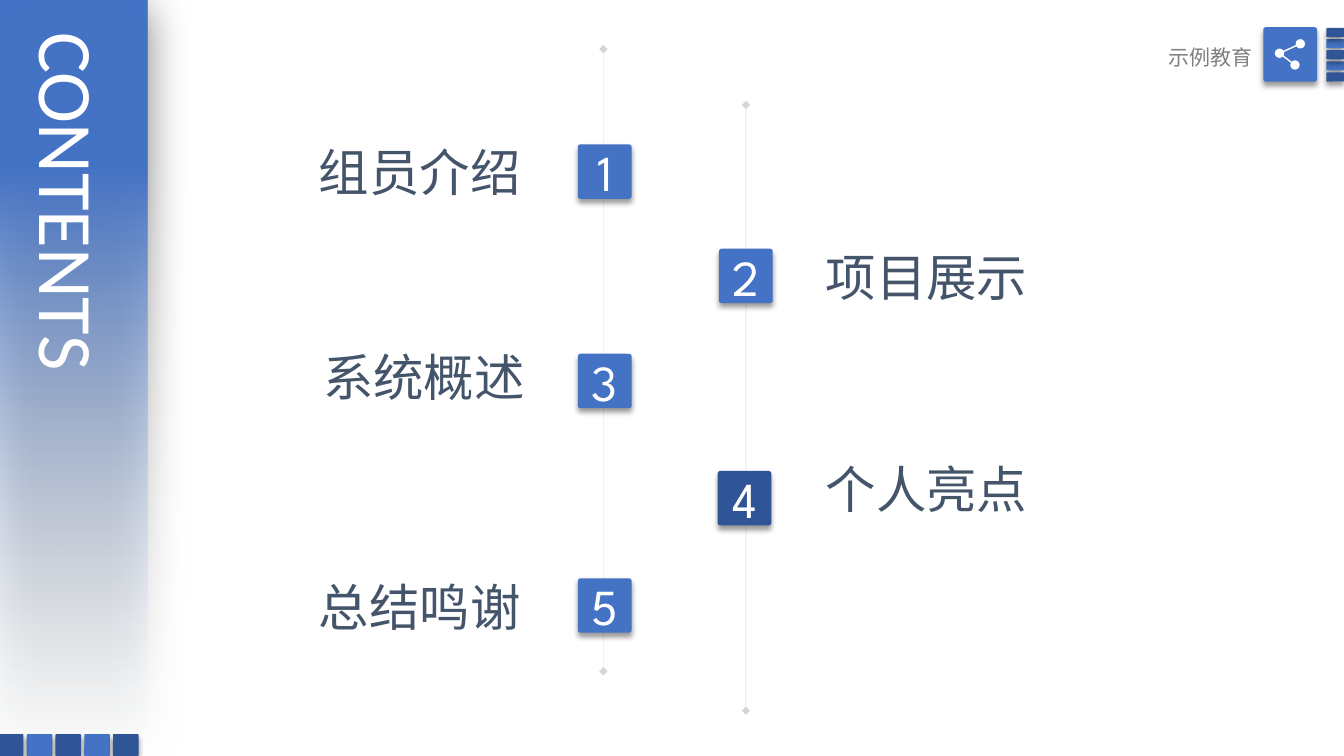
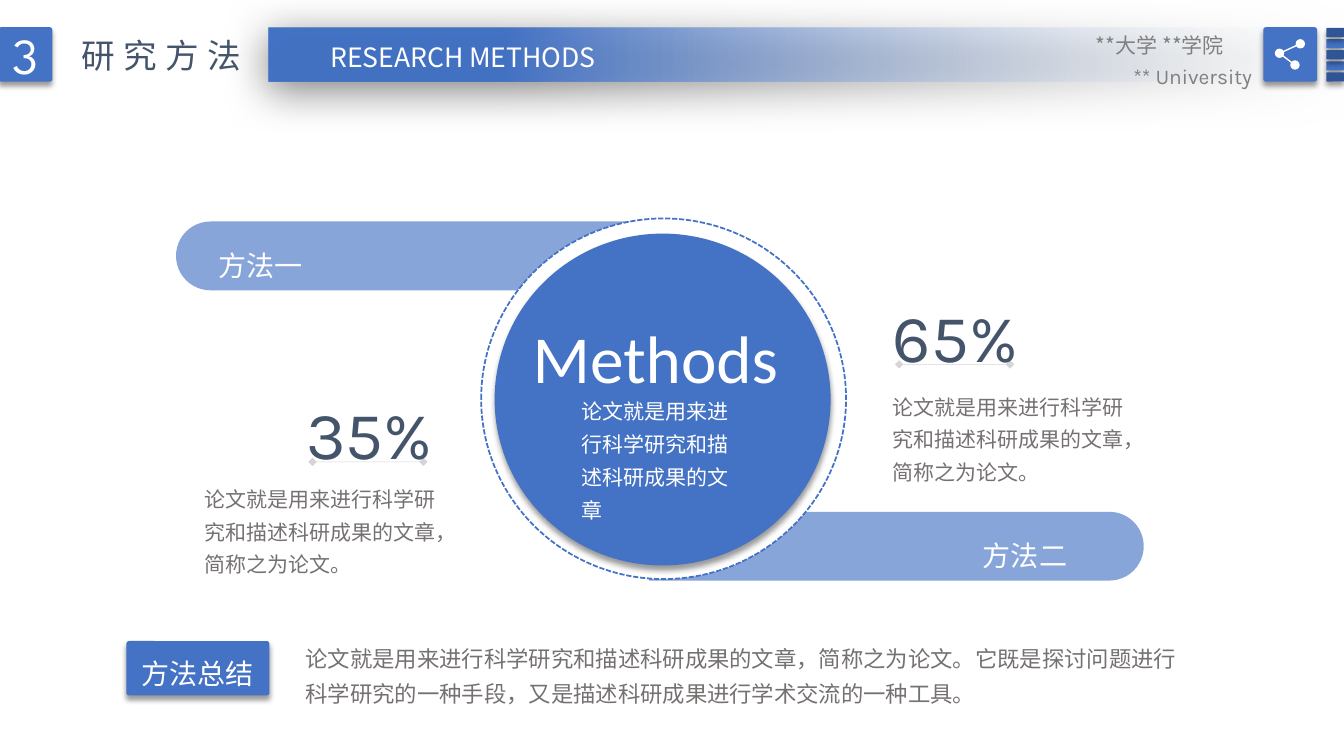
from dataclasses import dataclass, replace

from lxml import etree
from pptx import Presentation
from pptx import util as u
from pptx.dml.color import RGBColor
from pptx.enum import dml, shapes, text
from pptx.oxml import ns

# Shared look
WIDTH, HEIGHT = 13.33, 7.5
BLUE, NAVY, PALE, WHITE = "4472C4", "2F5597", "F7FAFD", "FFFFFF"
SLATE, GRAY, BODY, BLACK = "44546A", "808080", "767171", "000000"
CJK = "Noto Sans CJK SC"
LEFT, CENTER, RIGHT = text.PP_ALIGN.LEFT, text.PP_ALIGN.CENTER, text.PP_ALIGN.RIGHT
SHAPE = shapes.MSO_SHAPE
TILE_W, TILE_H = 4, 7.2
HEADER_TOP = 3.6


@dataclass(frozen=True)
class Box:
    """Left, top, width and height in percent of the slide's size."""
    left: float
    top: float
    width: float
    height: float

    def lengths(self) -> tuple:
        return (across(self.left), down(self.top),
                across(self.width), down(self.height))


@dataclass(frozen=True)
class Style:
    size: float
    color: str = WHITE
    font: str = CJK
    align: int = LEFT
    spacing: float = 1.0
    wrap: bool = True
    tracking: int = 0


@dataclass(frozen=True)
class Shadow:
    alpha: int
    blur: float
    distance: float
    angle: int


@dataclass(frozen=True)
class Entry:
    label: str
    badge_left: float
    badge_top: float
    label_left: float
    label_top: float
    color: str = BLUE


@dataclass(frozen=True)
class HeaderLine:
    words: str
    top: float
    font: str = CJK
    indent: float = 0


@dataclass(frozen=True)
class Method:
    name: str
    pill: Box
    turn: int
    name_left: float
    name_top: float
    share: str
    share_left: float
    share_top: float
    rule_left: float
    note: str
    note_left: float
    note_top: float


TILE_SHADOW = Shadow(40, 4, 3, 90)
BAND_SHADOW = Shadow(50, 31, 6, 97)
NUMBER = Style(36, font="League Spartan", align=CENTER)
ENTRY = Style(36, SLATE, wrap=False)
SUBHEAD = Style(20, spacing=1.3)
NOTE = Style(15, BODY, spacing=1.3)
FIGURE = Style(48, SLATE, "Karla", spacing=1.3, wrap=False)

ENTRIES = [
    Entry("组员介绍", 43, 19.1, 23, 18),
    Entry("项目展示", 53.5, 32.9, 60.7, 31.9),
    Entry("系统概述", 43, 46.8, 23.3, 45.1),
    Entry("个人亮点", 53.4, 62.3, 60.7, 60, NAVY),
    Entry("总结鸣谢", 43, 76.5, 23, 75.5),
]
THESIS = "论文就是用来进行科学研究和描述科研成果的文章"
METHODS = [
    Method("方法一", Box(13.1, 29.3, 36.8, 9.1), 270, 15.5, 30.9,
           "35%", 22.05, 48.1, 23.25, THESIS + "，简称之为论文。", 14.5, 62.7),
    Method("方法二", Box(48.3, 67.7, 36.8, 9.1), 90, 72.4, 69.3,
           "65%", 65.7, 35.2, 66.9, THESIS + "，简称之为论文。", 65.7, 50.5),
]


# Helpers
def across(percent: float) -> int:
    return u.Inches(WIDTH * percent / 100)


def down(percent: float) -> int:
    return u.Inches(HEIGHT * percent / 100)


def rgb(color: str) -> RGBColor:
    return RGBColor.from_string(color)


def apply(target, values: dict) -> None:
    for name, value in values.items():
        setattr(target, name, value)


def add_xml(parent, tag: str, **attributes):
    element = etree.SubElement(parent, ns.qn(tag))
    for name, value in attributes.items():
        element.set(name, str(value))
    return element


def set_alpha(properties, percent: float, index: int = 0) -> None:
    color = list(properties.iter(ns.qn("a:srgbClr")))[index]
    add_xml(color, "a:alpha", val=int(percent * 1000))


def write(shape, words: str, style: Style) -> None:
    frame = shape.text_frame
    frame.word_wrap = style.wrap
    paragraph = frame.paragraphs[0]
    apply(paragraph, {"alignment": style.align, "line_spacing": style.spacing})
    run = paragraph.add_run()
    run.text = words
    apply(run.font, {"size": u.Pt(style.size), "name": style.font})
    run.font.color.rgb = rgb(style.color)
    properties = run.font._element
    add_xml(properties, "a:ea", typeface=CJK)
    if style.tracking:
        properties.set("spc", str(style.tracking * 100))


def add_text(slide, box: Box, words: str, style: Style) -> None:
    shape = slide.shapes.add_textbox(*box.lengths())
    write(shape, words, style)
    shape.text_frame.auto_size = text.MSO_AUTO_SIZE.SHAPE_TO_FIT_TEXT


def place_title(slide, box: Box, words: str, style: Style, vertical: bool = False) -> None:
    title = slide.shapes.title
    apply(title, dict(zip(("left", "top", "width", "height"), box.lengths())))
    write(title, words, style)
    apply(title.text_frame, {"vertical_anchor": text.MSO_ANCHOR.TOP,
                             "auto_size": text.MSO_AUTO_SIZE.SHAPE_TO_FIT_TEXT})
    if vertical:
        title.text_frame._txBody.bodyPr.set("vert", "eaVert")
    # Bring the title in front of the band
    slide.shapes._spTree.append(title._element)


def add_shape(slide, kind: int, box: Box, color: str, shadow: Shadow | None = None):
    shape = slide.shapes.add_shape(kind, *box.lengths())
    shape.fill.solid()
    shape.fill.fore_color.rgb = rgb(color)
    shape.line.fill.background()
    shape.shadow.inherit = False
    if shadow:
        effects = shape._element.spPr.find(ns.qn("a:effectLst"))
        outer = add_xml(effects, "a:outerShdw", blurRad=u.Pt(shadow.blur),
                        dist=u.Pt(shadow.distance), dir=shadow.angle * 60000,
                        algn="t", rotWithShape=0)
        add_xml(outer, "a:srgbClr", val=BLACK)
        set_alpha(outer, shadow.alpha)
    return shape


def add_tile(slide, box: Box, color: str = BLUE, words: str = "", style: Style = NUMBER) -> None:
    tile = add_shape(slide, SHAPE.ROUNDED_RECTANGLE, box, color, TILE_SHADOW)
    tile.adjustments[0] = 0.05
    if words:
        write(tile, words, style)
        tile.text_frame.vertical_anchor = text.MSO_ANCHOR.MIDDLE


def add_band(slide, box: Box, angle: int) -> None:
    band = add_shape(slide, SHAPE.RECTANGLE, box, BLUE, BAND_SHADOW)
    band.fill.gradient()
    band.fill.gradient_angle = angle
    for stop, position, color in zip(band.fill.gradient_stops, (0, 0.78), (PALE, BLUE)):
        stop.position = position
        stop.color.rgb = rgb(color)
    set_alpha(band._element.spPr, 0)


def add_line(slide, start: tuple, end: tuple, color: str, weight: float):
    line = slide.shapes.add_connector(
        shapes.MSO_CONNECTOR.STRAIGHT, across(start[0]), down(start[1]),
        across(end[0]), down(end[1]))
    line.line.color.rgb = rgb(color)
    line.line.width = u.Pt(weight)
    add_xml(line._element.spPr, "a:effectLst")
    return line


def add_diamond_rule(slide, start: tuple, end: tuple) -> None:
    properties = add_line(slide, start, end, GRAY, 0.25)._element.spPr
    set_alpha(properties, 33)
    outline = properties.find(ns.qn("a:ln"))
    for tag in ("a:headEnd", "a:tailEnd"):
        add_xml(outline, tag, type="diamond")


def add_tile_row(slide, first: Box, step_x: float, step_y: float) -> None:
    # Blue tiles go first so that the navy shadows fall on them
    for index in (1, 3, 0, 2, 4):
        box = replace(first, left=first.left + index * step_x,
                      top=first.top + index * step_y)
        add_tile(slide, box, BLUE if index % 2 else NAVY)


def add_header(slide, lines: list[HeaderLine]) -> None:
    add_tile_row(slide, Box(98.7, 3.7, 1.3, 1.2), 0, 1.47)
    add_tile(slide, Box(94, HEADER_TOP, TILE_W, TILE_H))
    # Share symbol: a hub with two linked nodes
    hub, *nodes = (95.2, 7.05), (96.75, 5.8), (96.35, 8.6)
    for node in nodes:
        add_line(slide, hub, node, WHITE, 1)
    for x, y in (hub, *nodes):
        add_shape(slide, SHAPE.OVAL, Box(x - 0.35, y - 0.62, 0.7, 1.24), WHITE)
    for line in lines:
        add_text(slide, Box(76.1, line.top, 17.8 - line.indent, 4.9), line.words,
                 Style(15, GRAY, line.font, RIGHT))


# Slides
def build_contents(slide) -> None:
    add_diamond_rule(slide, (55.5, 13.9), (55.5, 94))
    add_diamond_rule(slide, (44.9, 6.5), (44.9, 88.8))
    add_band(slide, Box(0, 0, 11, 99.5), 90)
    add_tile_row(slide, Box(-0.15, 97.1, 1.9, 2.9), 2.14, 0)
    place_title(slide, Box(0.9, 3.6, 8.5, 65.9), "CONTENTS",
                Style(55, font="Calibri"), vertical=True)
    for number, entry in enumerate(ENTRIES, 1):
        add_tile(slide, Box(entry.badge_left, entry.badge_top, TILE_W, TILE_H),
                 entry.color, str(number))
        add_text(slide, Box(entry.label_left, entry.label_top, 16.7, 9.5),
                 entry.label, ENTRY)
    add_header(slide, [HeaderLine("示例教育", 5.2, "Karla")])


def build_methods(slide) -> None:
    # Pills behind the central disc
    for method in METHODS:
        left, top, width, height = method.pill.lengths()
        pill = add_shape(slide, SHAPE.ROUND_2_SAME_RECTANGLE, method.pill, BLUE)
        apply(pill, {"left": left + (width - height) // 2,
                     "top": top + (height - width) // 2,
                     "width": height, "height": width, "rotation": method.turn})
        pill.adjustments[0] = 0.5
        set_alpha(pill._element.spPr, 63)

    # Central disc
    ring = add_shape(slide, SHAPE.OVAL, Box(35.8, 28.9, 27.15, 47.7), WHITE)
    ring.line.color.rgb = rgb(BLUE)
    apply(ring.line, {"width": u.Pt(1.25), "dash_style": dml.MSO_LINE.SQUARE_DOT})
    add_shape(slide, SHAPE.OVAL, Box(36.8, 30.9, 25, 43.9), BLUE, TILE_SHADOW)
    add_text(slide, Box(38.9, 38, 21.7, 15.3), "Methods",
             Style(48, font="Calibri", spacing=1.3))
    add_text(slide, Box(42.5, 51.1, 13.3, 19.5), THESIS, replace(NOTE, color=WHITE))

    # Names, shares and notes
    for method in METHODS:
        add_text(slide, Box(method.name_left, method.name_top, 10.7, 7.2),
                 method.name, SUBHEAD)
        add_text(slide, Box(method.note_left, method.note_top, 19.3, 14.5),
                 method.note, NOTE)
        rule_top = method.share_top + 13
        add_diamond_rule(slide, (method.rule_left + 8.25, rule_top),
                         (method.rule_left, rule_top))
        add_text(slide, Box(method.share_left, method.share_top, 11.6, 15.3),
                 method.share, FIGURE)

    # Summary
    add_tile(slide, Box(9.4, 84.8, 10.65, TILE_H), BLUE, "方法总结",
             replace(SUBHEAD, align=CENTER))
    add_text(slide, Box(22, 83.6, 67.6, 10.7),
             THESIS + "，简称之为论文。它既是探讨问题进行科学研究的一种手段，"
             "又是描述科研成果进行学术交流的一种工具。", replace(NOTE, size=16))

    # Heading
    add_band(slide, Box(20, 3.7, 80, 7.1), 180)
    add_tile(slide, Box(-0.1, HEADER_TOP, TILE_W, TILE_H), BLUE, "3")
    place_title(slide, Box(5.3, 3.9, 14.1, 6.7), "研究方法",
                Style(24, SLATE, wrap=False, tracking=6))
    add_text(slide, Box(23.25, 4.8, 22.4, 5.6), "RESEARCH METHODS",
             Style(19, align=CENTER, wrap=False))
    add_header(slide, [HeaderLine("**大学 **学院", 3.7, indent=2.1),
                       HeaderLine("** University", 7.7, "Karla")])


def main() -> None:
    presentation = Presentation()
    apply(presentation, {"slide_width": u.Inches(WIDTH),
                         "slide_height": u.Inches(HEIGHT)})
    title_only = presentation.slide_layouts[5]
    for build in (build_contents, build_methods):
        build(presentation.slides.add_slide(title_only))
    presentation.save("out.pptx")


if __name__ == "__main__":
    main()
